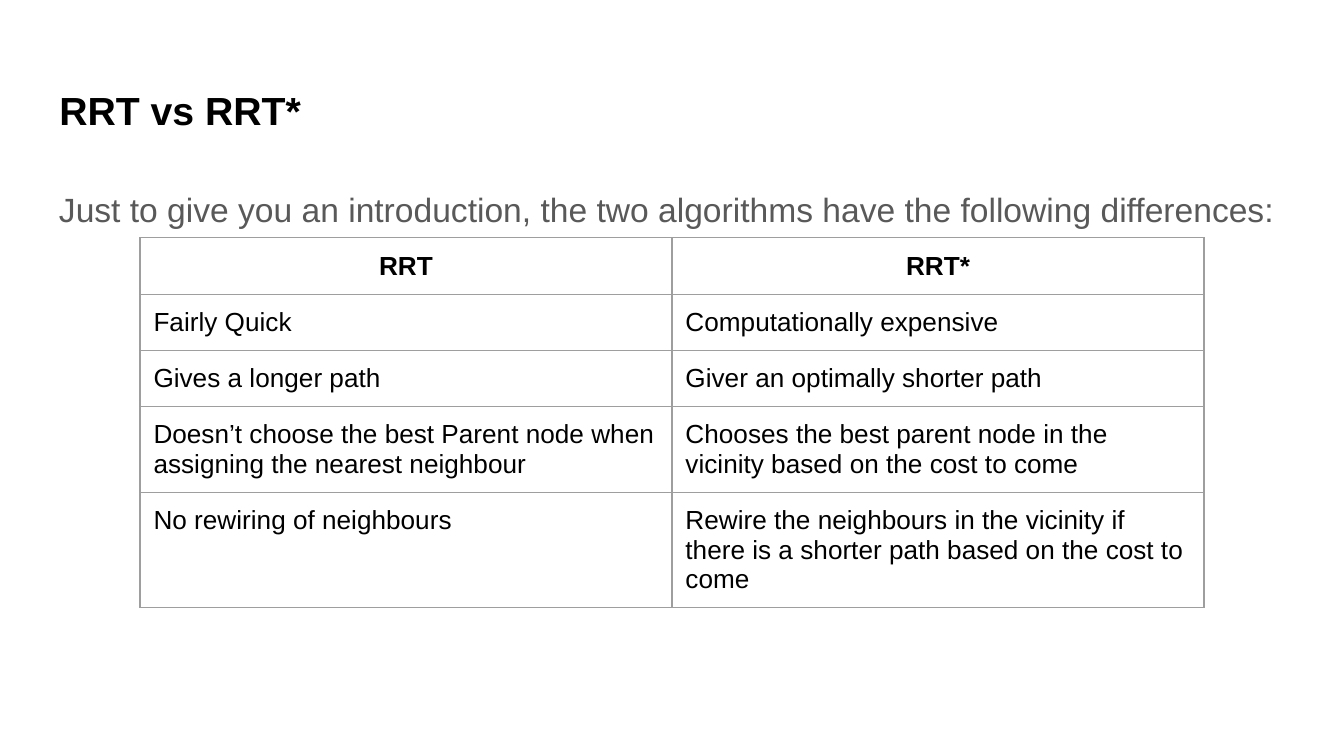
import pptx
import pptx.dml.color
import pptx.enum.text
import pptx.oxml
import pptx.oxml.ns
import pptx.util

BLACK = pptx.dml.color.RGBColor(0x00, 0x00, 0x00)
GREY = pptx.dml.color.RGBColor(0x59, 0x59, 0x59)
BORDER = pptx.dml.color.RGBColor(0x9E, 0x9E, 0x9E)
FONT = "Arial"
WIDTH = pptx.util.Inches(10)
HEIGHT = WIDTH * 9 // 16
INSET = pptx.util.Inches(0.1)
MARGIN = 3.41
ROW_HEIGHT = pptx.util.Pt(30)

DIFFERENCES = [
    ("RRT", "RRT*"),
    ("Fairly Quick", "Computationally expensive"),
    ("Gives a longer path", "Giver an optimally shorter path"),
    ("Doesn’t choose the best Parent node when assigning the nearest neighbour",
     "Chooses the best parent node in the vicinity based on the cost to come"),
    ("No rewiring of neighbours",
     "Rewire the neighbours in the vicinity if there is a shorter path based on the cost to come"),
]


def across(percent):
    return round(WIDTH * percent / 100)


def down(percent):
    return round(HEIGHT * percent / 100)


def style_paragraph(paragraph, size, color, bold=False, centered=False):
    align = pptx.enum.text.PP_ALIGN
    paragraph.alignment = align.CENTER if centered else align.LEFT
    paragraph.font.name = FONT
    paragraph.font.size = pptx.util.Pt(size)
    paragraph.font.bold = bold
    paragraph.font.color.rgb = color


def set_insets(holder):
    holder.margin_left = holder.margin_right = INSET
    holder.margin_top = holder.margin_bottom = INSET


def fill_text(shape, top, height, text, size, color, bold=False):
    shape.left, shape.top = across(MARGIN), down(top)
    shape.width, shape.height = across(100 - 2 * MARGIN), down(height)
    frame = shape.text_frame
    frame.text = text
    frame.word_wrap = True
    frame.auto_size = pptx.enum.text.MSO_AUTO_SIZE.NONE
    frame.vertical_anchor = pptx.enum.text.MSO_ANCHOR.TOP
    set_insets(frame)
    frame.paragraphs[0].line_spacing = 1.15
    style_paragraph(frame.paragraphs[0], size, color, bold)


def add_borders(cell):
    properties = cell._tc.get_or_add_tcPr()
    namespace = pptx.oxml.ns.nsdecls("a")
    for position, side in enumerate(("lnL", "lnR", "lnT", "lnB")):
        properties.insert(position, pptx.oxml.parse_xml(
            f'<a:{side} {namespace} w="{pptx.util.Pt(0.75)}"><a:solidFill>'
            f'<a:srgbClr val="{BORDER}"/></a:solidFill></a:{side}>'))


def add_comparison(slide, rows):
    table = slide.shapes.add_table(
        len(rows), len(rows[0]), across(10.42), down(31.47),
        across(79.17), ROW_HEIGHT * len(rows)).table
    table.horz_banding = False
    table.first_row = False
    for row_number, row in enumerate(rows):
        for column_number, text in enumerate(row):
            cell = table.cell(row_number, column_number)
            header = row_number == 0
            cell.text = text
            cell.fill.background()
            set_insets(cell)
            style_paragraph(cell.text_frame.paragraphs[0], 14, BLACK, header, header)
            add_borders(cell)


def main():
    presentation = pptx.Presentation()
    presentation.slide_width = WIDTH
    presentation.slide_height = HEIGHT
    slide = presentation.slides.add_slide(presentation.slide_layouts[5])
    fill_text(slide.shapes.title, 8.7, 11.2, "RRT vs RRT*", 21, BLACK, bold=True)
    introduction = slide.shapes.add_textbox(0, 0, 0, 0)
    fill_text(introduction, 22.4, 66.4,
              "Just to give you an introduction, the two algorithms have the following differences:",
              18, GREY)
    add_comparison(slide, DIFFERENCES)
    presentation.save("out.pptx")


if __name__ == "__main__":
    main()
